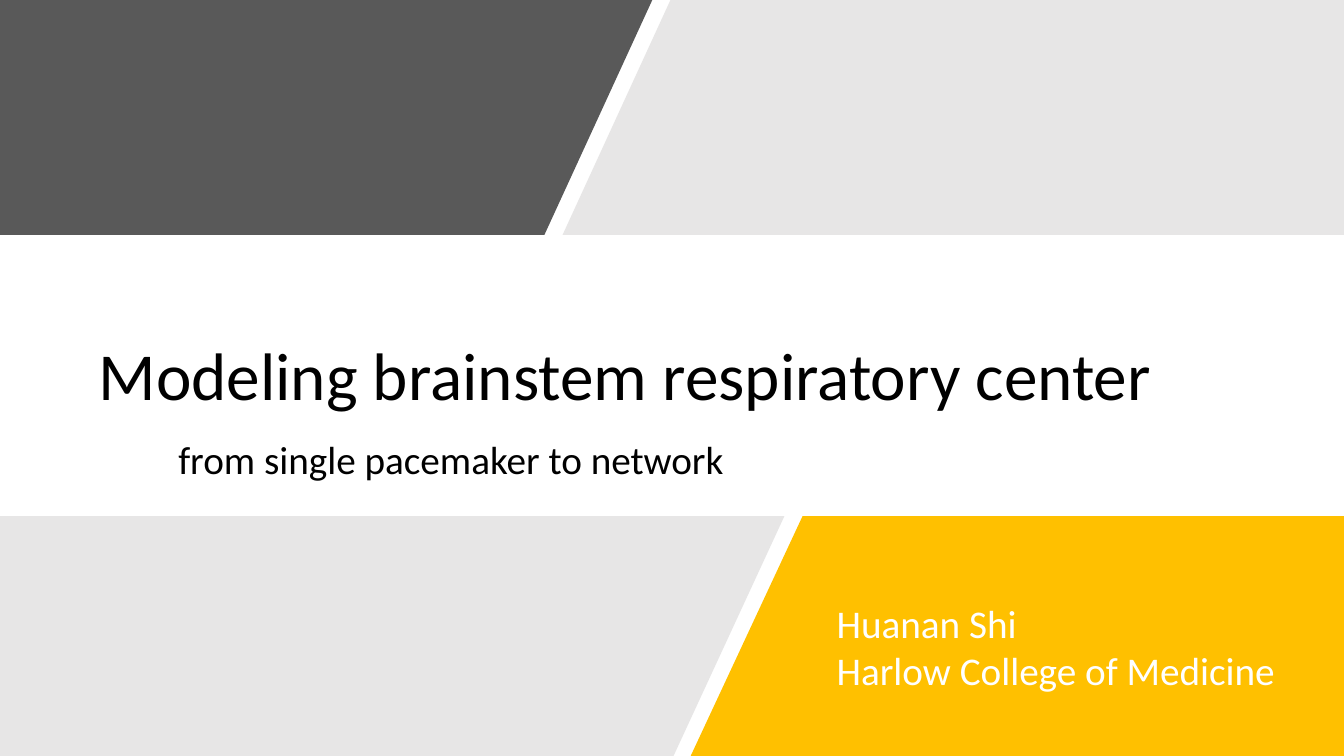
from dataclasses import dataclass

from pptx import Presentation
from pptx.dml.color import RGBColor
from pptx.enum.text import MSO_ANCHOR
from pptx.util import Inches, Pt


@dataclass(frozen=True)
class Theme:
    face: str = "Calibri"
    dark: str = "595959"
    pale: str = "E7E6E6"
    gold: str = "FFC000"
    ink: str = "000000"
    white: str = "FFFFFF"
    title: int = 48
    body: int = 28


class Deck:
    def __init__(self, theme, wide, high):
        self.theme = theme
        self.file = Presentation()
        self.file.slide_width = Inches(wide)
        self.file.slide_height = Inches(high)
        self.slide = self.file.slides.add_slide(self.file.slide_layouts[6])

    def panel(self, points, color):
        """Draw a filled outline through points given in inches."""
        spots = [(Inches(x), Inches(y)) for x, y in points]
        form = self.slide.shapes.build_freeform(*spots[0], scale=1.0)
        form.add_line_segments(spots[1:], close=True)
        shape = form.convert_to_shape()
        shape.shadow.inherit = False
        shape.fill.solid()
        shape.fill.fore_color.rgb = RGBColor.from_string(color)
        shape.line.fill.background()

    def text(self, box, lines, size, color, anchor=MSO_ANCHOR.TOP, **style):
        """Write one paragraph per line; style holds paragraph settings."""
        frame = self.slide.shapes.add_textbox(*map(Inches, box)).text_frame
        frame.word_wrap = True
        frame.vertical_anchor = anchor
        frame.text = "\n".join(lines)
        for para in frame.paragraphs:
            for key, value in style.items():
                setattr(para, key, value)
            for run in para.runs:
                look = {"name": self.theme.face, "size": Pt(size)}
                for key, value in look.items():
                    setattr(run.font, key, value)
                run.font.color.rgb = RGBColor.from_string(color)


def main():
    theme = Theme()
    wide, high = 13.33, 7.5
    top, low = 2.33, 5.12  # edges of the white middle band
    deck = Deck(theme, wide, high)

    # Upper band
    deck.panel([(0, 0), (6.47, 0), (5.4, top), (0, top)], theme.dark)
    deck.panel([(6.65, 0), (wide, 0), (wide, top), (5.58, top)], theme.pale)

    # Lower band
    deck.panel([(0, low), (7.78, low), (6.68, high), (0, high)], theme.pale)
    deck.panel([(7.96, low), (wide, low), (wide, high), (6.85, high)],
               theme.gold)

    # Title and subtitle
    deck.text((0.88, 3.27, 10.79, 0.9),
              ["Modeling brainstem respiratory center"],
              theme.title, theme.ink, MSO_ANCHOR.BOTTOM, line_spacing=0.9)
    deck.text((1.67, 4.32, 10, 0.63), ["from single pacemaker to network"],
              theme.body, theme.ink, line_spacing=0.9, space_before=Pt(10))

    # Author
    deck.text((8.2, 5.9, 5.26, 1.04),
              ["Huanan Shi", "Harlow College of Medicine"],
              theme.body, theme.white)

    deck.file.save("out.pptx")


if __name__ == "__main__":
    main()
